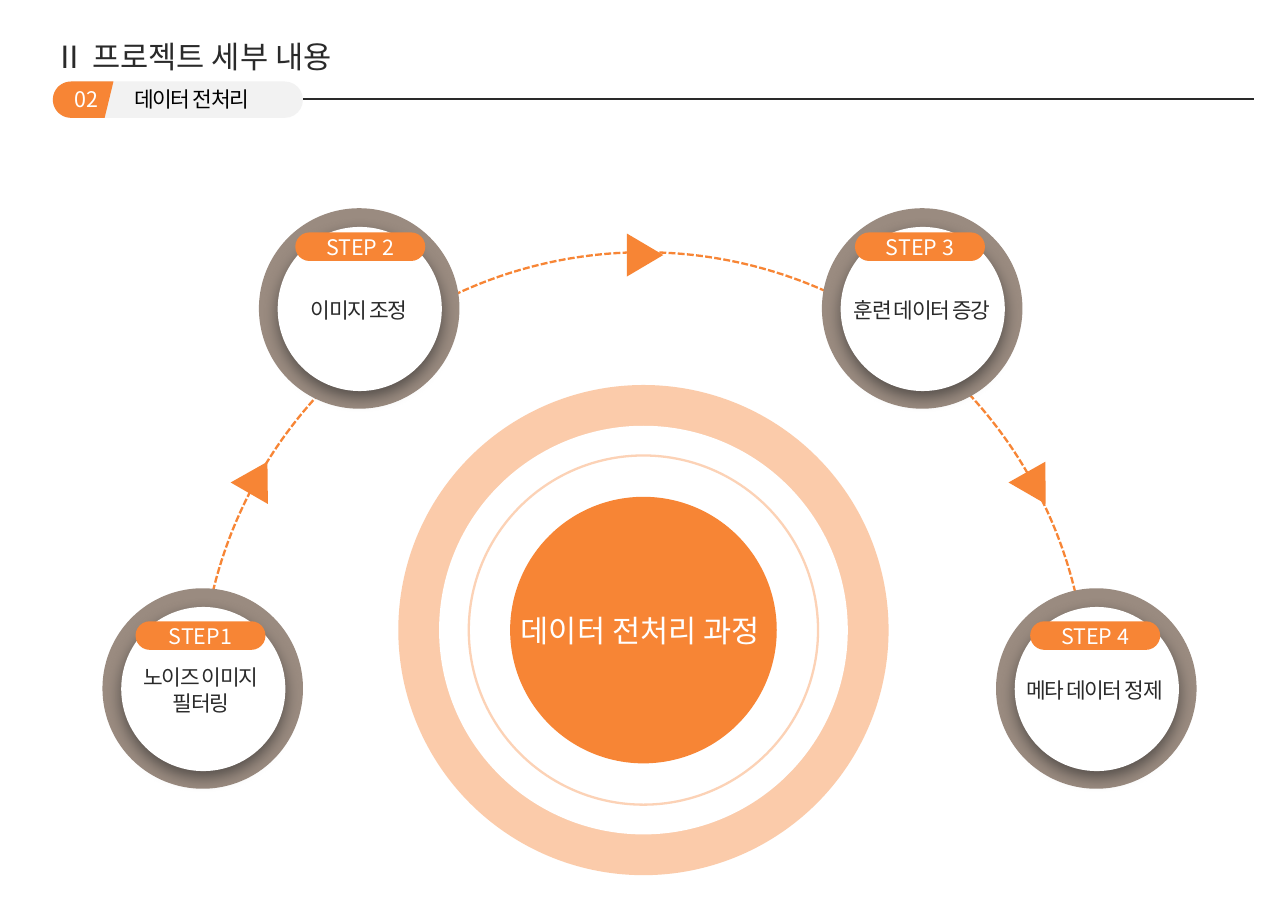
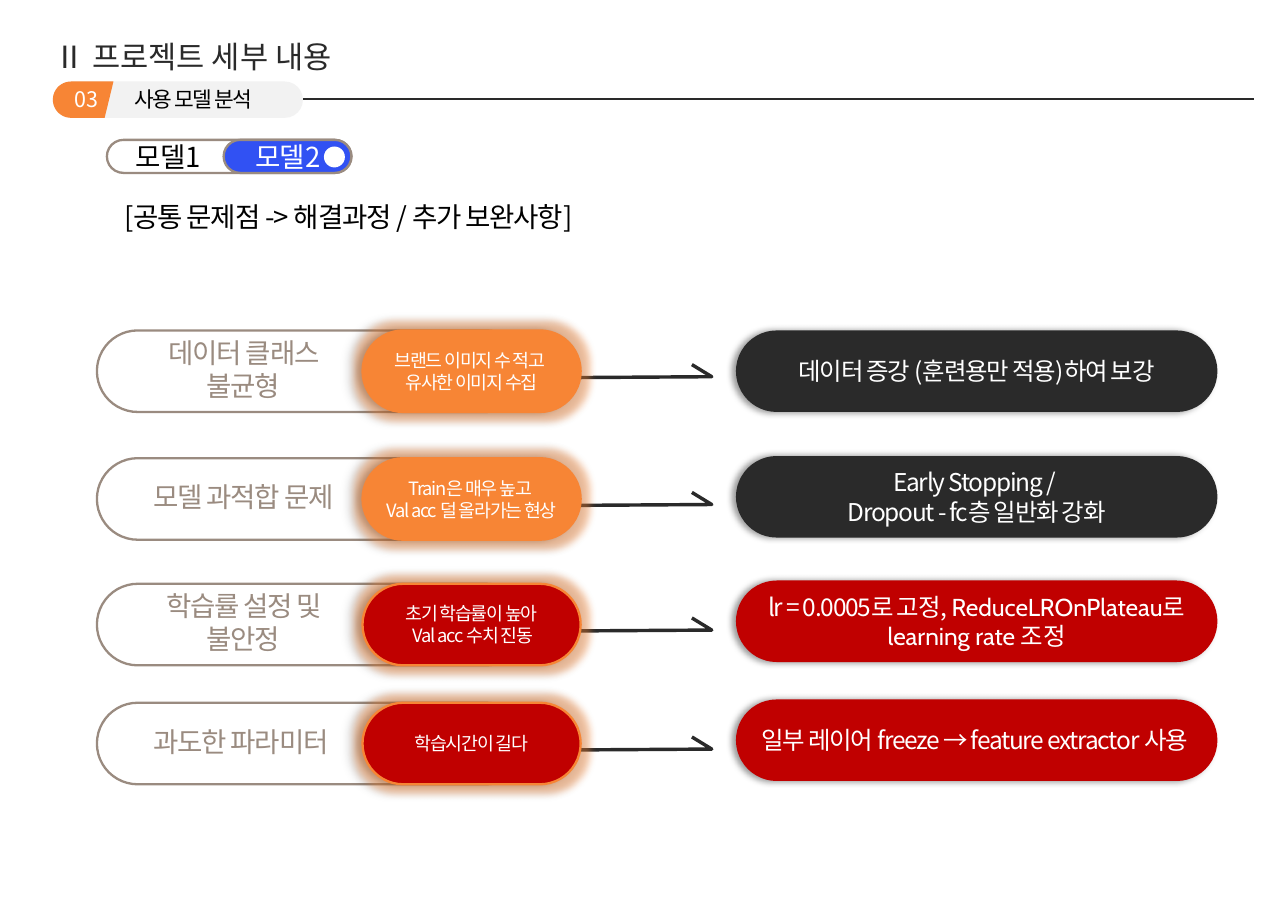
import dataclasses
import math

import lxml.etree
import pptx
import pptx.dml.color
import pptx.enum.dml
import pptx.enum.shapes
import pptx.enum.text
import pptx.oxml.ns
import pptx.util

SHAPE = pptx.enum.shapes.MSO_SHAPE
ANCHOR = pptx.enum.text.MSO_ANCHOR
ALIGN = pptx.enum.text.PP_ALIGN
qn = pptx.oxml.ns.qn


@dataclasses.dataclass(frozen=True)
class Theme:
    font: str = "Noto Sans CJK KR"
    latin_font: str = "Cabin"
    ink: str = "2A2A2A"
    black: str = "000000"
    white: str = "FFFFFF"
    orange: str = "F78535"
    peach: str = "FCD2B6"
    taupe: str = "9A8B80"
    pale: str = "F2F2F2"
    blue: str = "3151F3"
    red: str = "C00000"
    title: int = 20
    heading: int = 18
    answer: int = 16
    body: int = 14
    small: int = 12
    thin: float = 1.5
    thick: float = 2.25
    tight: float = -0.8
    tighter: float = -0.9


THEME = Theme()
EMU_PER_PX = 9144
PAGE_SIZE = (1169, 827)

TITLE = "Ⅱ 프로젝트 세부 내용"

RING = 182
# ring left and top, badge left and top, badge text, lines of text
STEPS = [
    ((235, 189), (268, 211), "STEP 2", ["이미지 조정"]),
    ((746, 189), (776, 211), "STEP 3", ["훈련 데이터 증강"]),
    ((904, 534), (935, 564), "STEP 4", ["메타 데이터 정제 "]),
    ((93, 534), (123, 564), "STEP1", ["노이즈 이미지 ", "필터링 "]),
]
HUB_CENTRE = (584, 572)
# diameter, fill, opacity in percent, outline
HUB = [
    (445, THEME.orange, 42, None),
    (371, THEME.white, 100, None),
    (317, THEME.white, 100, THEME.peach),
    (242, THEME.orange, 100, None),
]
HUB_TEXT = "데이터 전처리 과정 "
ARC_BOX = (182, 229, 805, 805)
ARC_START_DEGREES = 171
# left, top, rotation
ARC_ARROWS = [(215, 417, 30), (566, 215, 90), (921, 417, 30)]

TABS = [((97, 127, 116, 30), "모델1 ", THEME.black),
        ((216, 127, 91, 30), "모델2", THEME.white)]
CAPTION = "[공통 문제점 -> 해결과정 / 추가 보완사항]"
# row top, answer top, problem, lines of cause, cause fill, answer, answer fill
PROBLEMS = [
    (300, 300, "데이터 클래스 불균형",
     ["브랜드 이미지 수 적고 ", "유사한 이미지 수집"], THEME.orange,
     ["데이터 증강 (훈련용만 적용)하여 보강"], THEME.ink),
    (416, 414, "모델 과적합 문제",
     ["Train은 매우 높고 ", "Val acc 덜 올라가는 현상"], THEME.orange,
     ["Early Stopping / ", "Dropout - fc층 일반화 강화"], THEME.ink),
    (530, 527, "학습률 설정 및 불안정",
     ["초기 학습률이 높아", " Val acc 수치 진동"], THEME.red,
     [("lr = 0.0005로 고정, ", "ReduceLROnPlateau로 learning rate 조정")], THEME.red),
    (638, 635, "과도한 파라미터 ",
     ["학습시간이 길다"], THEME.red,
     ["일부 레이어 freeze → feature extractor 사용 "], THEME.red),
]


def px(length):
    return pptx.util.Emu(round(length * EMU_PER_PX))


def rgb(colour):
    return pptx.dml.color.RGBColor.from_string(colour)


def style_span(span, size, colour, spacing, latin):
    span.font.size = pptx.util.Pt(size)
    span.font.color.rgb = rgb(colour)
    span.font.name = latin
    props = span.font._element
    props.set("spc", str(round(spacing * 100)))
    east_asian = lxml.etree.Element(qn("a:ea"), typeface=THEME.font)
    props.find(qn("a:latin")).addnext(east_asian)


def write(box, lines, size, colour, align=ALIGN.CENTER, spacing=0, anchor=ANCHOR.MIDDLE):
    """Fill a box; a line given as a pair has its second part in the Latin font."""
    frame = box.text_frame
    frame.word_wrap = True
    frame.vertical_anchor = anchor
    for index, line in enumerate(lines):
        para = frame.add_paragraph() if index else frame.paragraphs[0]
        para.alignment = align
        if isinstance(line, str):
            para.text = line
            style_span(para.runs[0], size, colour, spacing, THEME.font)
            continue
        for part, latin, gap in zip(line, (THEME.font, THEME.latin_font), (spacing, 0)):
            span = para.add_run()
            span.text = part
            style_span(span, size, colour, gap, latin)


def add_text(page, area, lines, size, colour, **options):
    box = page.shapes.add_textbox(*map(px, area))
    write(box, lines, size, colour, **options)


def paint(shape, fill=None, line=None, width=THEME.thin):
    shape.shadow.inherit = False
    if fill:
        shape.fill.solid()
        shape.fill.fore_color.rgb = rgb(fill)
    else:
        shape.fill.background()
    if line:
        shape.line.color.rgb = rgb(line)
        shape.line.width = pptx.util.Pt(width)
    else:
        shape.line.fill.background()
    return shape


def add_shape(page, kind, area, fill=None, line=None):
    return paint(page.shapes.add_shape(kind, *map(px, area)), fill, line)


def add_pill(page, area, fill, line=None):
    pill = add_shape(page, SHAPE.ROUNDED_RECTANGLE, area, fill, line)
    pill.adjustments[0] = 0.5
    frame = pill.text_frame
    frame.margin_left = frame.margin_right = frame.margin_top = frame.margin_bottom = 0
    return pill


def add_outline(page, points, close, **colours):
    emu_points = [(px(x), px(y)) for x, y in points]
    builder = page.shapes.build_freeform(*emu_points[0])
    builder.add_line_segments(emu_points[1:], close=close)
    return paint(builder.convert_to_shape(), **colours)


def set_alpha(colour_node, percent):
    lxml.etree.SubElement(colour_node, qn("a:alpha"), val=str(percent * 1000))


def add_effect(shape, tag, colour, alpha, **attributes):
    effects = shape._element.spPr.find(qn("a:effectLst"))
    effect = lxml.etree.SubElement(effects, qn(tag), **attributes)
    set_alpha(lxml.etree.SubElement(effect, qn("a:srgbClr"), val=colour), alpha)


def add_shadow(shape, colour, alpha, blur, distance, degrees):
    add_effect(shape, "a:outerShdw", colour, alpha, blurRad=str(pptx.util.Pt(blur)),
               dist=str(pptx.util.Pt(distance)), dir=str(degrees * 60000),
               algn="ctr", rotWithShape="0")


def add_header(page, number, label):
    add_text(page, (40, 30, 390, 42), [TITLE], THEME.title, THEME.ink, align=ALIGN.LEFT)
    rule = page.shapes.add_connector(
        pptx.enum.shapes.MSO_CONNECTOR.STRAIGHT, px(54), px(90), px(1138), px(90))
    rule.line.color.rgb = rgb(THEME.ink)
    rule.line.width = pptx.util.Pt(THEME.thin)
    lxml.etree.SubElement(rule._element.spPr, qn("a:effectLst"))
    left, top, height = 48, 74, 33
    add_pill(page, (left, top, 227, height), THEME.pale)
    add_text(page, (112, 75, 154, 30), [label], THEME.body, THEME.black,
             align=ALIGN.LEFT, spacing=THEME.tighter)
    radius = height / 2
    angles = [math.radians(degrees) for degrees in range(90, 271, 6)]
    cap = [(left + radius + radius * math.cos(a), top + radius + radius * math.sin(a))
           for a in angles]
    add_outline(page, cap + [(103, top), (95, top + height)], True, fill=THEME.orange)
    add_text(page, (53, 75, 51, 30), [number], THEME.body, THEME.white)


def add_ring(page, left, top, lines):
    add_shape(page, SHAPE.OVAL, (left, top, RING, RING), THEME.taupe)
    inset, inner = 17, 149
    disc = add_shape(page, SHAPE.OVAL, (left + inset, top + inset, inner, inner), THEME.white)
    add_shadow(disc, THEME.ink, 60, 10, 4, 90)
    add_text(page, (left + 16, top + 43, 150, 99), lines, THEME.body, THEME.ink,
             spacing=THEME.tighter)


def build_process(page):
    add_header(page, "02", "데이터 전처리")
    arc = add_shape(page, SHAPE.ARC, ARC_BOX, line=THEME.orange)
    arc.adjustments[0] = ARC_START_DEGREES * 0.6
    arc.adjustments[1] = 0
    arc.line.dash_style = pptx.enum.dml.MSO_LINE.SQUARE_DOT
    for left, top, rotation in ARC_ARROWS:
        arrow = add_shape(page, SHAPE.ISOSCELES_TRIANGLE, (left, top, 39, 33), THEME.orange)
        arrow.rotation = rotation
    centre_x, centre_y = HUB_CENTRE
    for size, fill, opacity, line in HUB:
        area = (centre_x - size / 2, centre_y - size / 2, size, size)
        disc = add_shape(page, SHAPE.OVAL, area, fill, line)
        if opacity < 100:
            set_alpha(disc._element.spPr.find(qn("a:solidFill"))[0], opacity)
    add_text(page, (443, 485, 283, 175), [HUB_TEXT], THEME.title, THEME.white)
    for ring, badge, name, lines in STEPS:
        add_ring(page, *ring, lines)
        pill = add_pill(page, (*badge, 118, 26), THEME.orange)
        write(pill, [name], THEME.body, THEME.white)


def add_problem(page, top, answer_top, problem, cause, cause_fill, answer, answer_fill):
    height = 74
    shaft = top + 43
    add_outline(page, [(487, shaft), (646, shaft - 1), (628, shaft - 12)], False,
                line=THEME.ink, width=THEME.thick)
    add_pill(page, (88, top, 390, height), THEME.white, THEME.taupe)
    add_text(page, (123, top + 13, 196, 44), [problem], THEME.heading, THEME.taupe,
             spacing=THEME.tight)
    cause_pill = add_pill(page, (329, top, 198, height), cause_fill, THEME.orange)
    add_effect(cause_pill, "a:glow", THEME.orange, 40, rad=str(pptx.util.Pt(10)))
    write(cause_pill, cause, THEME.small, THEME.white, spacing=THEME.tight)
    answer_pill = add_pill(page, (668, answer_top, 437, height), answer_fill)
    write(answer_pill, answer, THEME.answer, THEME.white, spacing=THEME.tight)
    for pill in (cause_pill, answer_pill):
        add_shadow(pill, THEME.black, 40, 4, 3, 180)


def build_analysis(page):
    add_header(page, "03", "사용 모델 분석")
    add_pill(page, (97, 127, 222, 30), THEME.white, THEME.taupe)
    add_pill(page, (203, 127, 116, 30), THEME.blue, THEME.taupe)
    add_shape(page, SHAPE.OVAL, (294, 133, 19, 19), THEME.white)
    for area, name, colour in TABS:
        add_text(page, area, [name], THEME.heading, colour, spacing=THEME.tight)
    add_text(page, (103, 177, 1060, 39), [CAPTION], THEME.heading, THEME.black,
             align=ALIGN.LEFT, spacing=THEME.tight, anchor=ANCHOR.TOP)
    for problem in PROBLEMS:
        add_problem(page, *problem)


def main():
    deck = pptx.Presentation()
    deck.slide_width, deck.slide_height = map(px, PAGE_SIZE)
    for build in (build_process, build_analysis):
        build(deck.slides.add_slide(deck.slide_layouts[6]))
    deck.save("out.pptx")


if __name__ == "__main__":
    main()
